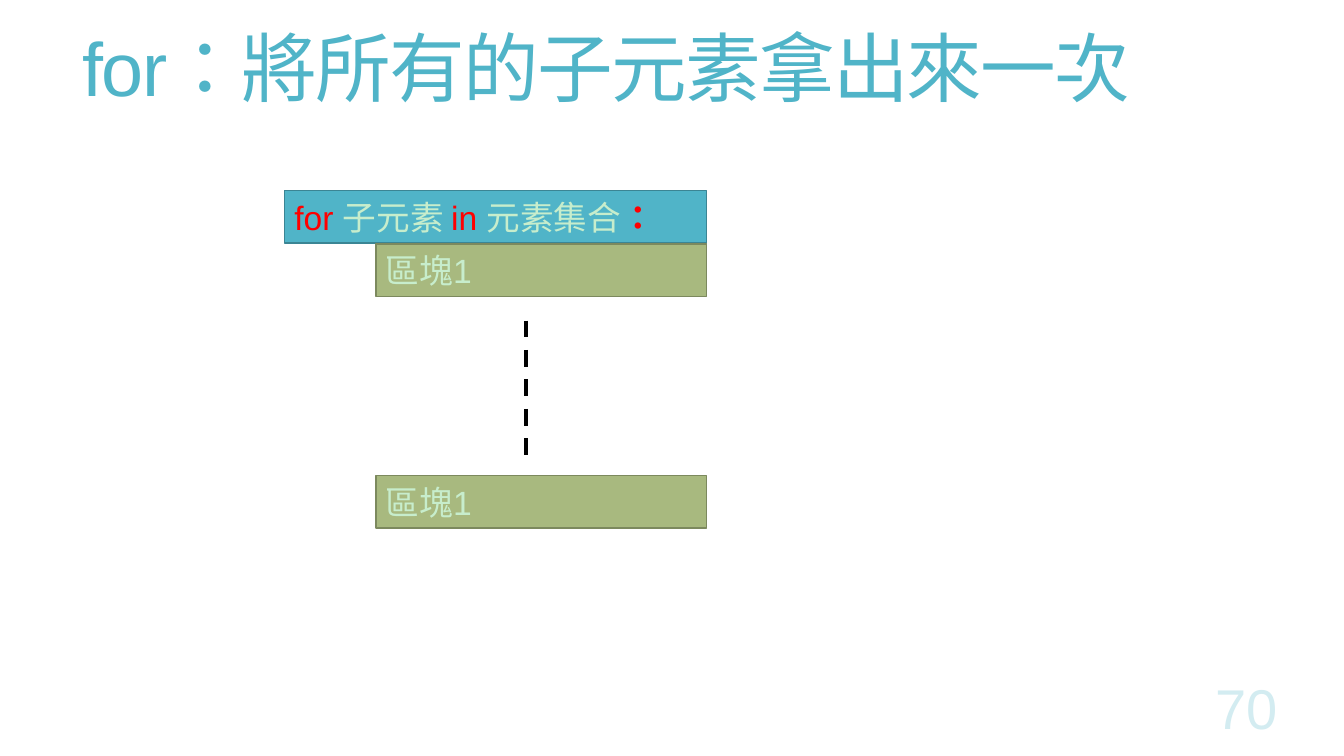
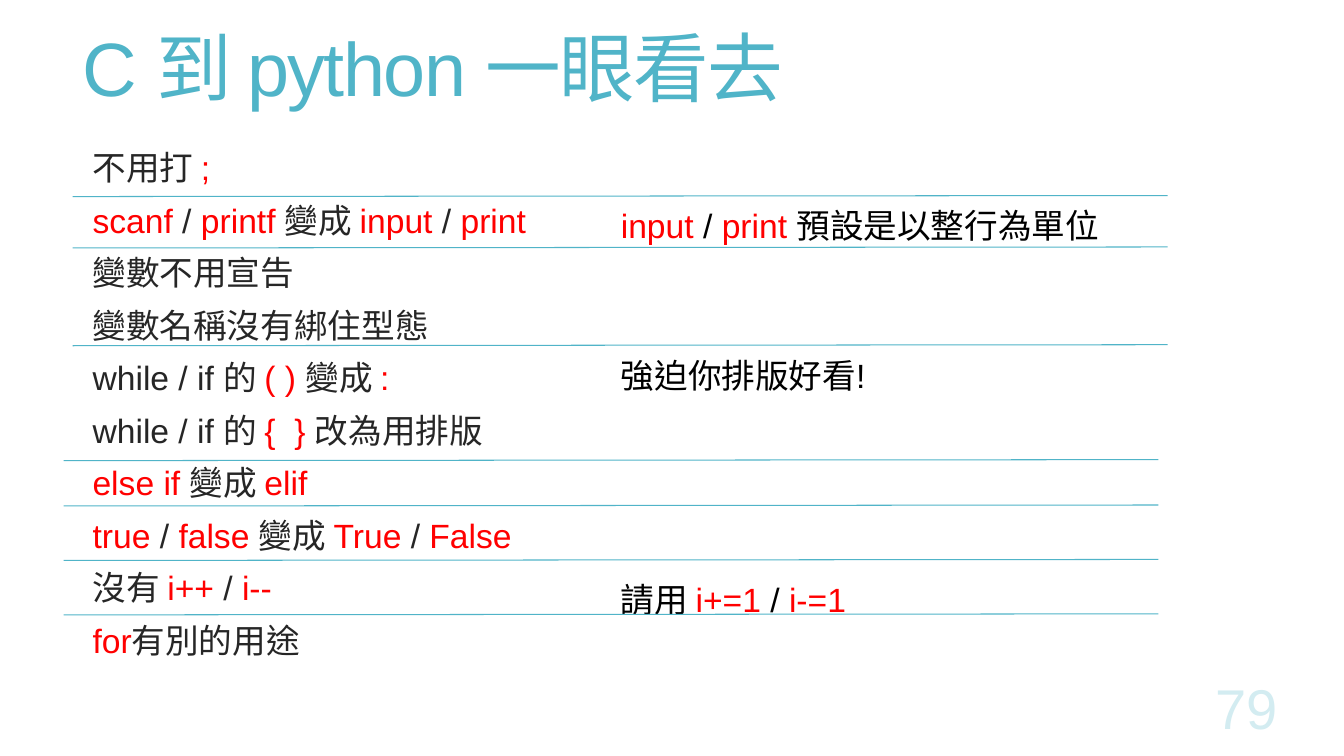
from dataclasses import dataclass

from lxml.etree import SubElement
from pptx import Presentation
from pptx.dml.color import RGBColor
from pptx.enum.dml import MSO_LINE
from pptx.enum.shapes import MSO_CONNECTOR, MSO_SHAPE
from pptx.enum.text import MSO_ANCHOR, PP_ALIGN
from pptx.oxml.ns import qn
from pptx.util import Inches, Pt


@dataclass(frozen=True)
class Theme:
    font: str = "Arial"
    language: str = "zh-TW"
    paper: str = "FFFFFF"
    accent: str = "50B4C8"
    accent_edge: str = "3B8594"
    block: str = "A8B97F"
    block_edge: str = "7C895E"
    block_text: str = "C7EDCC"
    keyword: str = "FF0000"
    body: str = "262626"
    black: str = "000000"
    page_number: str = "D3ECF1"
    title_size: int = 54
    text_size: int = 24
    number_size: int = 40


THEME = Theme()

COMPARISONS = [
    "不用打 |;",
    "|scanf| / |printf |變成 |input| / |print",
    "變數不用宣告",
    "變數名稱沒有綁住型態",
    "while / if 的 |( ) |變成 |:",
    "while / if 的 |{  } |改為用排版",
    "|else if |變成 |elif",
    "|true| / |false |變成 |True| / |False",
    "沒有 |i++ |/ |i--",
    "|for|有別的用途",
]
REMARKS = [
    (2.23, "|input| / |print |預設是以整行為單位"),
    (3.72, "強迫你排版好看!"),
    (5.94, "請用 |i+=1 |/ |i-=1"),
]
DIVIDERS = [
    (0.72, (1.95, 2.46, 3.43)),
    (0.63, (4.57, 5.02, 5.56, 6.1)),
]
DIVIDER_LENGTH = 10.86
DIVIDER_RISE = 0.01


def rgb(color):
    return RGBColor.from_string(color)


def write(paragraph, marked_text, color, size=THEME.text_size, tracking=None):
    """Write text in which every second part between bars is a keyword."""
    for index, part in enumerate(marked_text.split("|")):
        if not part:
            continue
        run = paragraph.add_run()
        run.text = part
        run.font.name = THEME.font
        run.font.size = Pt(size)
        run.font.color.rgb = rgb(THEME.keyword if index % 2 else color)
        properties = run._r.get_or_add_rPr()
        properties.set("lang", THEME.language)
        if tracking is not None:
            properties.set("spc", str(round(tracking * 100)))


def add_frame(slide, left, top, width, height, anchor=MSO_ANCHOR.MIDDLE):
    box = slide.shapes.add_textbox(
        Inches(left), Inches(top), Inches(width), Inches(height))
    frame = box.text_frame
    frame.word_wrap = True
    frame.vertical_anchor = anchor
    return frame


def add_slide(deck, title, number):
    slide = deck.slides.add_slide(deck.slide_layouts[6])
    slide.background.fill.solid()
    slide.background.fill.fore_color.rgb = rgb(THEME.paper)

    heading = add_frame(slide, 0.72, 0.15, 11.78, 1.16).paragraphs[0]
    heading.line_spacing = 0.85
    write(heading, title, THEME.accent, THEME.title_size, -1.2)

    page = add_frame(slide, 11.27, 6.69, 1.5, 0.64).paragraphs[0]
    page.alignment = PP_ALIGN.RIGHT
    write(page, str(number), THEME.page_number, THEME.number_size)
    return slide


def add_block(slide, left, top, width, text, fill, edge):
    block = slide.shapes.add_shape(
        MSO_SHAPE.RECTANGLE, Inches(left), Inches(top), Inches(width), Inches(0.52))
    block.shadow.inherit = False
    block.fill.solid()
    block.fill.fore_color.rgb = rgb(fill)
    block.line.color.rgb = rgb(edge)
    block.line.width = Pt(1)
    block.text_frame.vertical_anchor = MSO_ANCHOR.MIDDLE
    paragraph = block.text_frame.paragraphs[0]
    paragraph.alignment = PP_ALIGN.LEFT
    write(paragraph, text, THEME.block_text)
    return paragraph


def add_line(slide, start, end, color, weight, dash=None):
    line = slide.shapes.add_connector(
        MSO_CONNECTOR.STRAIGHT, *(Inches(value) for value in (*start, *end)))
    line.line.color.rgb = rgb(color)
    line.line.width = Pt(weight)
    if dash is not None:
        line.line.dash_style = dash
    SubElement(line._element.spPr, qn("a:effectLst"))


def add_comparisons(slide):
    frame = add_frame(slide, 0.72, 1.47, 5.74, 5.45, MSO_ANCHOR.TOP)
    for index, comparison in enumerate(COMPARISONS):
        paragraph = frame.add_paragraph() if index else frame.paragraphs[0]
        paragraph.line_spacing = 0.85
        paragraph.space_before = Pt(13)
        paragraph._p.get_or_add_pPr().set("marL", str(Inches(0.1)))
        write(paragraph, comparison, THEME.body)


def build_for_slide(deck):
    slide = add_slide(deck, "for：將所有的子元素拿出來一次", 70)
    header = add_block(slide, 2.82, 1.89, 4.19, "|for |子元素 |in |元素集合|：",
                       THEME.accent, THEME.accent_edge)
    header.runs[-1].font.bold = True
    for top in (2.42, 4.72):
        add_block(slide, 3.73, top, 3.28, "區塊1", THEME.block, THEME.block_edge)
    add_line(slide, (5.22, 3.18), (5.22, 4.55), THEME.black, 3, MSO_LINE.DASH)


def build_comparison_slide(deck):
    slide = add_slide(deck, "C 到 python 一眼看去", 79)
    add_comparisons(slide)
    for center, remark in REMARKS:
        frame = add_frame(slide, 6.06, center - 0.25, 5.74, 0.5)
        write(frame.paragraphs[0], remark, THEME.black)
    for left, tops in DIVIDERS:
        for top in tops:
            add_line(slide, (left, top), (left + DIVIDER_LENGTH, top - DIVIDER_RISE),
                     THEME.accent, 0.75)


def main():
    deck = Presentation()
    deck.slide_width = Inches(13.33)
    deck.slide_height = Inches(7.5)
    build_for_slide(deck)
    build_comparison_slide(deck)
    deck.save("out.pptx")


if __name__ == "__main__":
    main()
